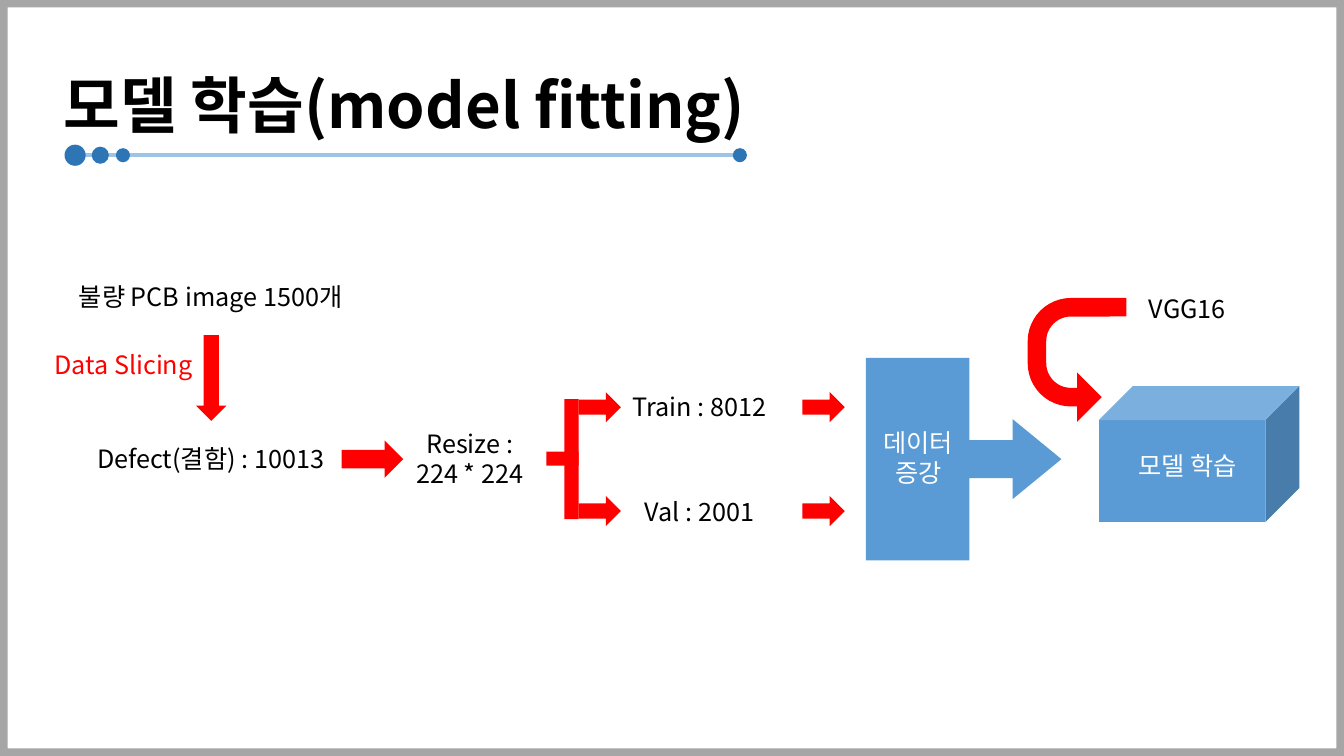
"""Build the model fitting slide: a data pipeline from PCB images to training."""
from dataclasses import dataclass

from lxml import etree
from pptx import Presentation
from pptx import util as u
from pptx.dml.color import RGBColor
from pptx.enum import shapes, text
from pptx.oxml.ns import qn

COLORS = {
    "frame": "A6A6A6", "rule": "9DC3E6", "dot": "2E75B6", "flow": "FF0000",
    "block": "5B9BD5", "ink": "000000", "light": "FFFFFF",
}
FONT = "Noto Sans CJK KR"
COLS, ROWS = 133.33, 75
WIDTH, HEIGHT = u.Inches(13.33), u.Inches(7.5)
MSO = shapes.MSO_SHAPE
DOT_ROW = 15.4
BRANCH_ROWS = (38.9, 49.2)


@dataclass(frozen=True)
class Box:
    col: float
    row: float
    cols: float
    rows: float


@dataclass(frozen=True)
class Figure:
    kind: int
    box: Box
    color: str
    adj: tuple[float, ...] = ()
    rot: float = 0
    flip: bool = False


@dataclass(frozen=True)
class Label:
    lines: tuple[str, ...]
    box: Box
    color: str = "ink"
    align: str = "CENTER"


DOTS = [
    Figure(MSO.OVAL, Box(center - size / 2, DOT_ROW - size / 2, size, size), "dot")
    for center, size in ((7.45, 2.1), (9.95, 1.7), (12.2, 1.4), (73.4, 1.4))
]
BRANCH_ARROWS = [
    Figure(MSO.RIGHT_ARROW, Box(col, row, 4.2, 3), "flow")
    for col in (57.4, 79.6) for row in BRANCH_ROWS
]
FLOW = [
    Figure(MSO.RIGHT_ARROW, Box(16.7, 36, 8.5, 3), "flow", rot=90),
    Figure(MSO.RIGHT_ARROW, Box(33.9, 43.7, 6.1, 3.7), "flow"),
    *BRANCH_ARROWS,
    Figure(MSO.RECTANGLE, Box(56, 39.6, 1.4, 11.9), "flow"),
    Figure(MSO.RECTANGLE, Box(54.2, 44.8, 3.2, 1.4), "flow"),
    Figure(MSO.RIGHT_ARROW_CALLOUT, Box(85.9, 35.5, 19.4, 20.1), "block",
           (0.195, 0.205, 0.25, 0.53)),
    Figure(MSO.CUBE, Box(109, 38.3, 19.9, 13.5), "block"),
    Figure(MSO.U_TURN_ARROW, Box(100.7, 30.8, 12.3, 9.8), "flow",
           (0.188, 0.25, 0.25, 0.438, 0.75), rot=90, flip=True),
]
LABELS = [
    Label(("불량 PCB image 1500개",), Box(4.4, 27.4, 33, 4)),
    Label(("Data Slicing",), Box(4.4, 34.2, 24.2, 4), "flow", "LEFT"),
    Label(("Defect(결함) : 10013",), Box(7.4, 43.5, 27, 4)),
    Label(("Resize :", "224 * 224"), Box(33.1, 42, 27, 7.1)),
    Label(("Train : 8012",), Box(52.9, 38.3, 33, 4)),
    Label(("Val : 2001",), Box(52.9, 48.7, 33, 4)),
    Label(("데이터", "증강"), Box(82.3, 41.9, 17.6, 7.1), "light"),
    Label(("모델 학습",), Box(109, 44.2, 17.6, 4), "light"),
    Label(("VGG16",), Box(101.3, 28.6, 33, 4)),
]


def x(col: float) -> int:
    """Convert grid columns to a length."""
    return round(WIDTH * col / COLS)


def y(row: float) -> int:
    """Convert grid rows to a length."""
    return round(HEIGHT * row / ROWS)


def place(box: Box) -> tuple[int, int, int, int]:
    """Convert a grid box to left, top, width and height."""
    return x(box.col), y(box.row), x(box.cols), y(box.rows)


def rgb(name: str) -> RGBColor:
    """Look up a named colour."""
    return RGBColor.from_string(COLORS[name])


def draw_figure(s, fig: Figure) -> None:
    """Draw one flat preset shape."""
    sp = s.shapes.add_shape(fig.kind, *place(fig.box))
    sp.shadow.inherit = False
    sp.fill.solid()
    sp.fill.fore_color.rgb = rgb(fig.color)
    sp.line.fill.background()
    sp.rotation = fig.rot
    for i, value in enumerate(fig.adj):
        sp.adjustments[i] = value
    if fig.flip:
        sp.element.spPr.find(qn("a:xfrm")).set("flipV", "1")


def draw_rule(s, start: float, end: float, row: float) -> None:
    """Draw the horizontal line under the title."""
    line = s.shapes.add_connector(
        shapes.MSO_CONNECTOR.STRAIGHT, x(start), y(row), x(end), y(row))
    line.line.color.rgb = rgb("rule")
    line.line.width = u.Pt(3)
    etree.SubElement(line.element.spPr, qn("a:effectLst"))


def add_text(s, lines: tuple[str, ...], box: Box, *, size: float = 18,
             color: str = "ink", bold: bool = False, align: str = "CENTER",
             anchor: str = "TOP", spacing: float = 1.0) -> None:
    """Add a text box with one paragraph per line."""
    tf = s.shapes.add_textbox(*place(box)).text_frame
    tf.word_wrap = True
    tf.vertical_anchor = text.MSO_ANCHOR[anchor]
    for i, line in enumerate(lines):
        p = tf.add_paragraph() if i else tf.paragraphs[0]
        p.alignment = text.PP_ALIGN[align]
        p.line_spacing = spacing
        r = p.add_run()
        r.text = line
        r.font.size = u.Pt(size)
        r.font.bold = bold
        r.font.color.rgb = rgb(color)
        r.font.name = FONT
        etree.SubElement(r.font._element, qn("a:ea")).set("typeface", FONT)


def main() -> None:
    """Build and save the slide."""
    prs = Presentation()
    prs.slide_width, prs.slide_height = WIDTH, HEIGHT
    s = prs.slides.add_slide(prs.slide_layouts[6])
    draw_figure(s, Figure(MSO.FRAME, Box(0, 0, COLS, ROWS), "frame", (0.01,)))
    draw_rule(s, 7.4, 73.5, DOT_ROW)
    for fig in DOTS + FLOW:
        draw_figure(s, fig)
    add_text(s, ("모델 학습(model fitting)",), Box(5.3, 3.5, 115, 14.5), size=44,
             bold=True, align="LEFT", anchor="MIDDLE", spacing=0.9)
    for label in LABELS:
        add_text(s, label.lines, label.box, color=label.color, align=label.align)
    prs.save("out.pptx")


if __name__ == "__main__":
    main()
